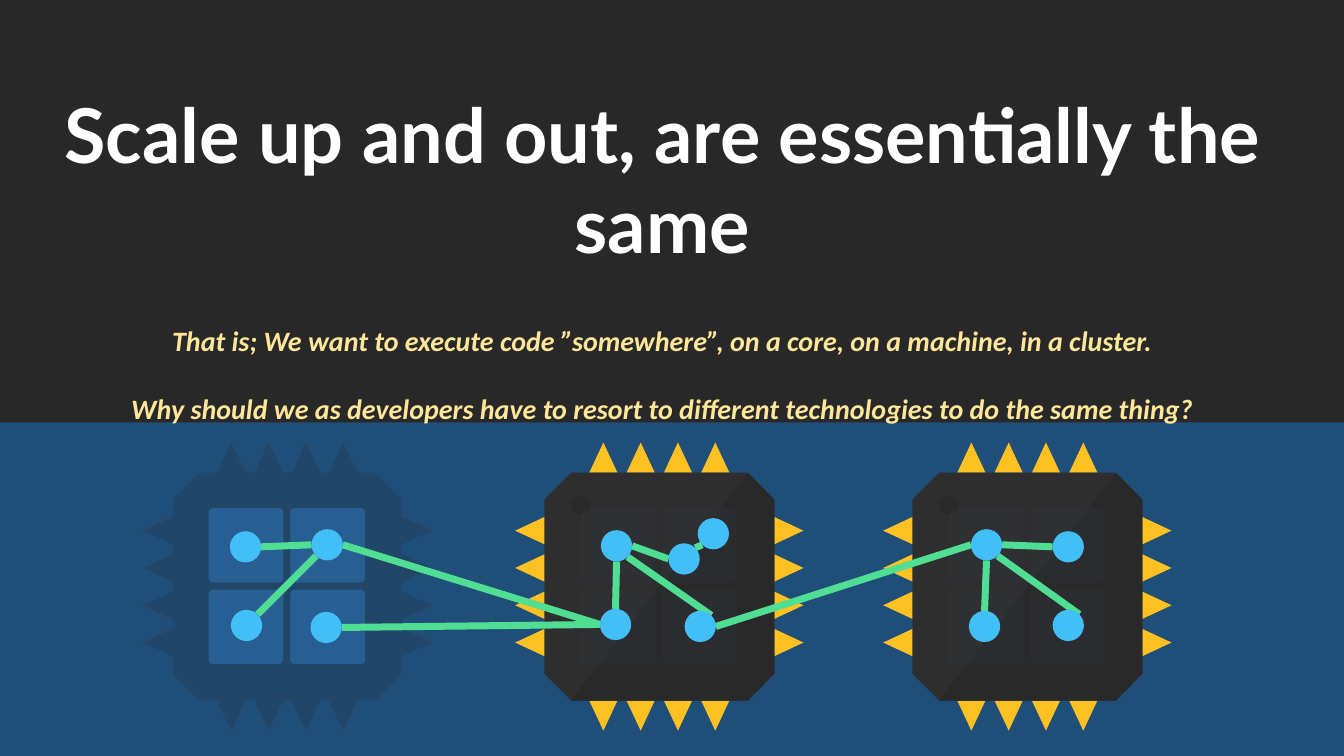
from lxml import etree
from pptx import Presentation
from pptx.dml.color import RGBColor
from pptx.enum.shapes import MSO_CONNECTOR, MSO_SHAPE
from pptx.enum.text import PP_ALIGN
from pptx.oxml.ns import qn
from pptx.util import Inches, Pt

RECTANGLE, ROUNDED = MSO_SHAPE.RECTANGLE, MSO_SHAPE.ROUNDED_RECTANGLE
OCTAGON, OVAL = MSO_SHAPE.OCTAGON, MSO_SHAPE.OVAL
STRAIGHT = MSO_CONNECTOR.STRAIGHT
CENTER = PP_ALIGN.CENTER

BLUE = RGBColor(0x1F, 0x4E, 0x79)
CHARCOAL = RGBColor(0x28, 0x28, 0x28)
CHIP = RGBColor(0x2E, 0x2E, 0x2E)
CHIP_SHADE = RGBColor(0x29, 0x29, 0x29)
PIN = RGBColor(0xFF, 0xC0, 0x21)
CORE = RGBColor(0x33, 0x3F, 0x50)
FADED_CORE = RGBColor(0x2E, 0x75, 0xB6)
LINK = RGBColor(0x50, 0xDE, 0x94)
NODE = RGBColor(0x43, 0xBF, 0xF7)
WHITE = RGBColor(0xFF, 0xFF, 0xFF)
CREAM = RGBColor(0xFF, 0xE6, 0x99)

CHIP_TOP, CHIP_SIZE = 4.39, 2.86
PIN_LENGTH, PIN_HALF, PIN_COUNT, PIN_PITCH = 0.3, 0.14, 4, 0.37
CORNER = 0.26
CORE_START, CORE_SIZE, CORE_PITCH = 0.65, 0.74, 0.81
NODE_SIZE = 0.31

TITLE_FORMAT = {"name": "Lato", "size": Pt(54), "bold": True}
NOTE_FORMAT = {"name": "Calibri", "size": Pt(20), "bold": True, "italic": True}
PARAGRAPHS = [
    ("Scale up and out, are essentially the same", 0, TITLE_FORMAT, WHITE),
    ("That is; We want to execute code ”somewhere”, on a core, on a machine, "
     "in a cluster.", 39, NOTE_FORMAT, CREAM),
    ("Why should we as developers have to resort to different technologies "
     "to do the same thing?", 24.4, NOTE_FORMAT, CREAM),
]

# Left and top of each node
NODES = {
    "left a": (2.28, 5.27), "left b": (3.09, 5.25),
    "left c": (2.29, 6.05), "left d": (3.08, 6.07),
    "mid a": (5.96, 5.26), "mid b": (6.63, 5.39), "mid c": (6.92, 5.14),
    "mid d": (5.95, 6.04), "mid e": (6.79, 6.06),
    "right a": (9.63, 5.25), "right b": (10.44, 5.27),
    "right c": (9.61, 6.06), "right d": (10.44, 6.05),
}
# Points on a node's rim, as multiples of its radius
RIM = {"N": (0, -1), "S": (0, 1), "W": (-1, 0), "E": (1, 0),
       "NE": (0.71, -0.71), "SW": (-0.71, 0.71), "SE": (0.71, 0.71)}
LINKS = [
    ("right a", "W", "mid e", "E"), ("mid d", "W", "left b", "E"),
    ("mid d", "W", "left d", "E"), ("mid a", "S", "mid d", "N"),
    ("left b", "W", "left a", "E"), ("left b", "SW", "left c", "NE"),
    ("right a", "S", "right c", "N"), ("right a", "SE", "right d", "NE"),
    ("right a", "E", "right b", "W"), ("mid a", "SE", "mid e", "NE"),
    ("mid b", "W", "mid a", "E"), ("mid b", "NE", "mid c", "SW"),
]


def paint(shape, color, opacity=100):
    shape.shadow.inherit = False
    shape.line.fill.background()
    shape.fill.solid()
    shape.fill.fore_color.rgb = color
    if opacity < 100:
        tone = shape.fill._xPr.find(".//" + qn("a:srgbClr"))
        etree.SubElement(tone, qn("a:alpha")).set("val", str(opacity * 1000))


def add_block(shapes, kind, left, top, width, height, color, opacity=100, corner=None):
    block = shapes.add_shape(kind, Inches(left), Inches(top), Inches(width), Inches(height))
    if corner is not None:
        block.adjustments[0] = corner
    paint(block, color, opacity)


def add_outline(shapes, left, contours, color, opacity=100):
    """Draw closed contours given relative to a chip's top left corner."""
    builder = None
    for contour in contours:
        points = [(Inches(left + x), Inches(CHIP_TOP + y)) for x, y in contour]
        if builder is None:
            builder = shapes.build_freeform(*points[0], scale=1.0)
        else:
            builder.move_to(*points[0])
        builder.add_line_segments(points[1:], close=True)
    paint(builder.convert_to_shape(), color, opacity)


def top_pins():
    first = (CHIP_SIZE - (PIN_COUNT - 1) * PIN_PITCH) / 2
    centers = [first + i * PIN_PITCH for i in range(PIN_COUNT)]
    return [[(x - PIN_HALF, PIN_LENGTH), (x, 0), (x + PIN_HALF, PIN_LENGTH)]
            for x in centers]


def turned(points, quarters):
    """Rotate points clockwise about the chip's centre."""
    for _ in range(quarters):
        points = [(CHIP_SIZE - y, x) for x, y in points]
    return points


def add_cores(shapes, left, color, opacity):
    for row in range(2):
        for column in range(2):
            add_block(shapes, ROUNDED, left + CORE_START + column * CORE_PITCH,
                      CHIP_TOP + CORE_START + row * CORE_PITCH,
                      CORE_SIZE, CORE_SIZE, color, opacity, 0.06)


def add_faded_chip(page, left):
    shapes = page.shapes.add_group_shape().shapes
    edge = PIN_LENGTH + CORNER
    side = [(edge, PIN_LENGTH), *(point for pin in top_pins() for point in pin),
            (CHIP_SIZE - edge, PIN_LENGTH)]
    outline = [point for quarter in range(4) for point in turned(side, quarter)]
    add_outline(shapes, left, [outline], CHIP, 23)
    add_cores(shapes, left, FADED_CORE, 55)


def add_chip(page, left):
    shapes = page.shapes.add_group_shape().shapes
    pins = [turned(pin, quarter) for quarter in range(4) for pin in top_pins()]
    add_outline(shapes, left, pins, PIN)
    add_block(shapes, OCTAGON, left + 0.29, CHIP_TOP + 0.3, 2.28, 2.26, CHIP, corner=0.117)
    shade = [(0.55, 2.56), (2.31, 0.3), (2.57, 0.57), (2.57, 2.29), (2.31, 2.56)]
    add_outline(shapes, left, [shade], CHIP_SHADE)
    add_block(shapes, OVAL, left + 0.55, CHIP_TOP + 0.53, 0.19, 0.19, CHIP_SHADE)
    add_cores(shapes, left, CORE, 17)


def rim_point(node, side):
    radius = NODE_SIZE / 2
    return [Inches(start + radius + radius * step)
            for start, step in zip(NODES[node], RIM[side])]


def add_network(page):
    shapes = page.shapes.add_group_shape().shapes
    for start, start_side, end, end_side in LINKS:
        link = shapes.add_connector(STRAIGHT, *rim_point(start, start_side),
                                    *rim_point(end, end_side))
        link.line.color.rgb = LINK
        link.line.width = Pt(5)
        etree.SubElement(link._element.spPr, qn("a:effectLst"))
    for left, top in NODES.values():
        add_block(shapes, OVAL, left, top, NODE_SIZE, NODE_SIZE, NODE)


def add_message(page):
    box = page.shapes.add_textbox(Inches(0.29), Inches(0.82), Inches(12.56), Inches(2.56))
    frame = box.text_frame
    frame.word_wrap = True
    for index, (text, space, font_format, color) in enumerate(PARAGRAPHS):
        para = frame.add_paragraph() if index else frame.paragraphs[0]
        para.alignment = CENTER
        if space:
            para.space_before = Pt(space)
        span = para.add_run()
        span.text = text
        span.font.color.rgb = color
        for name, value in font_format.items():
            setattr(span.font, name, value)


def main():
    deck = Presentation()
    deck.slide_width, deck.slide_height = Inches(13.33), Inches(7.5)
    page = deck.slides.add_slide(deck.slide_layouts[6])
    page.background.fill.solid()
    page.background.fill.fore_color.rgb = BLUE
    add_block(page.shapes, RECTANGLE, 0, 0, 13.33, 4.19, CHARCOAL)
    add_faded_chip(page, 1.42)
    for left in (8.76, 5.11):
        add_chip(page, left)
    add_network(page)
    add_message(page)
    deck.save("out.pptx")


if __name__ == "__main__":
    main()
